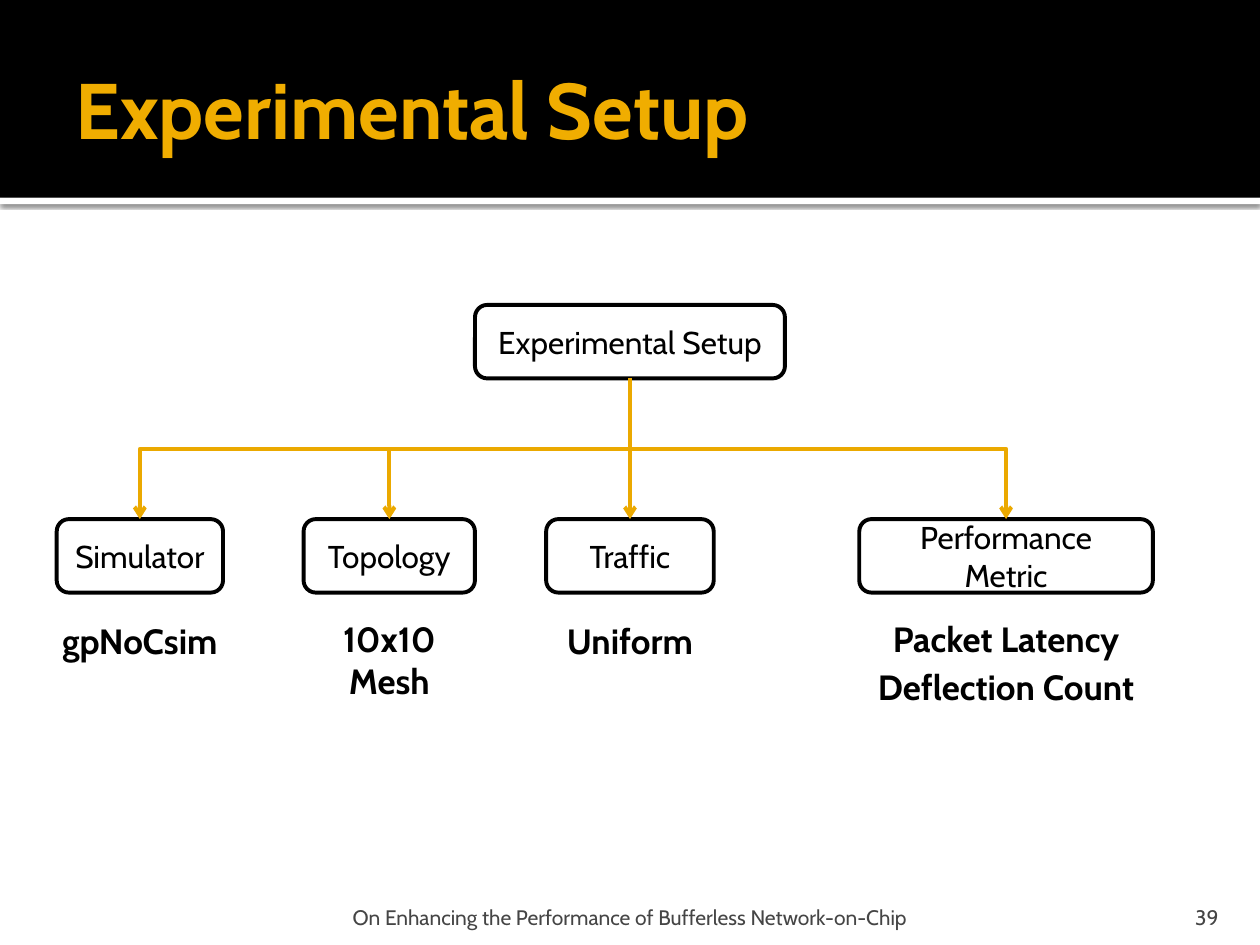
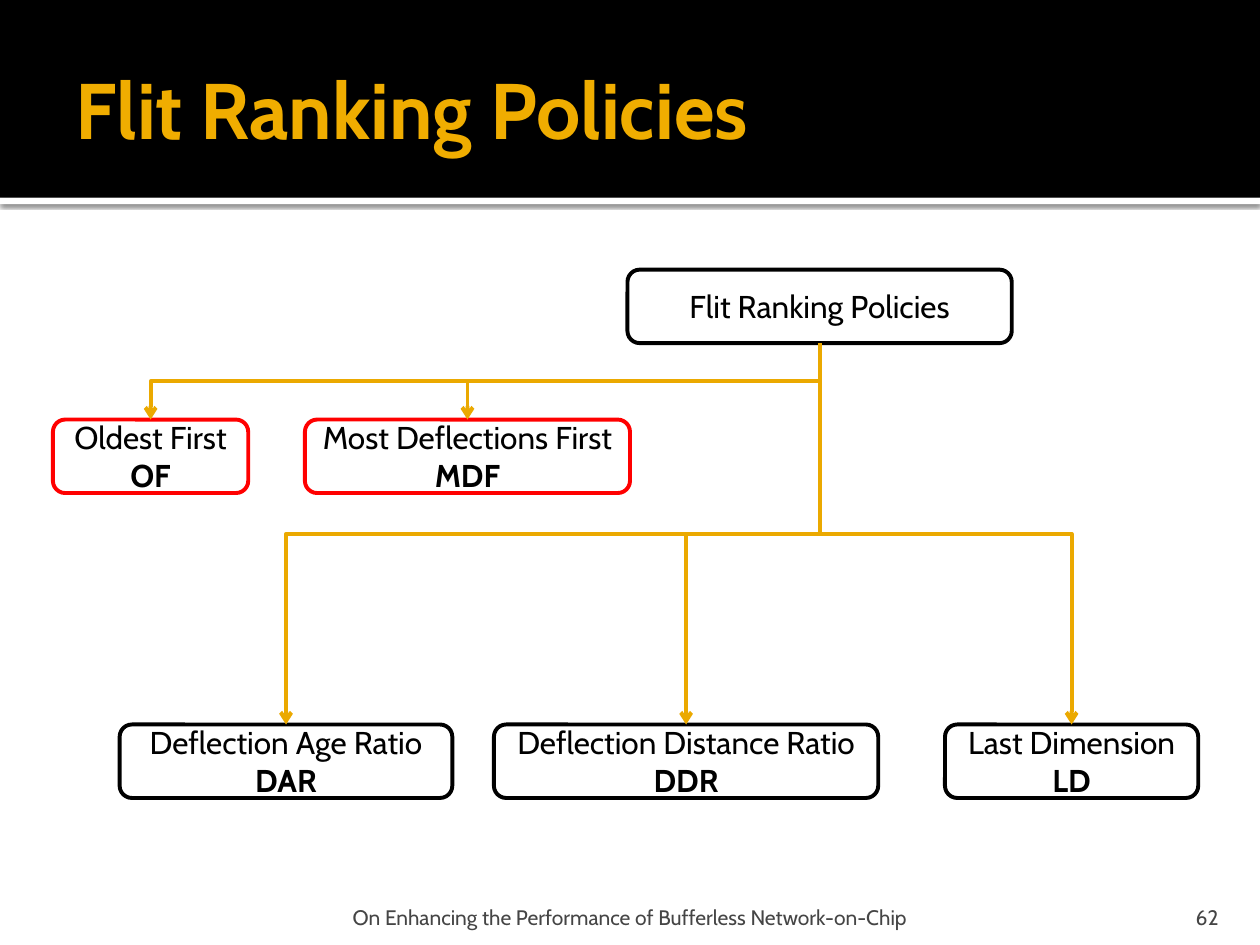
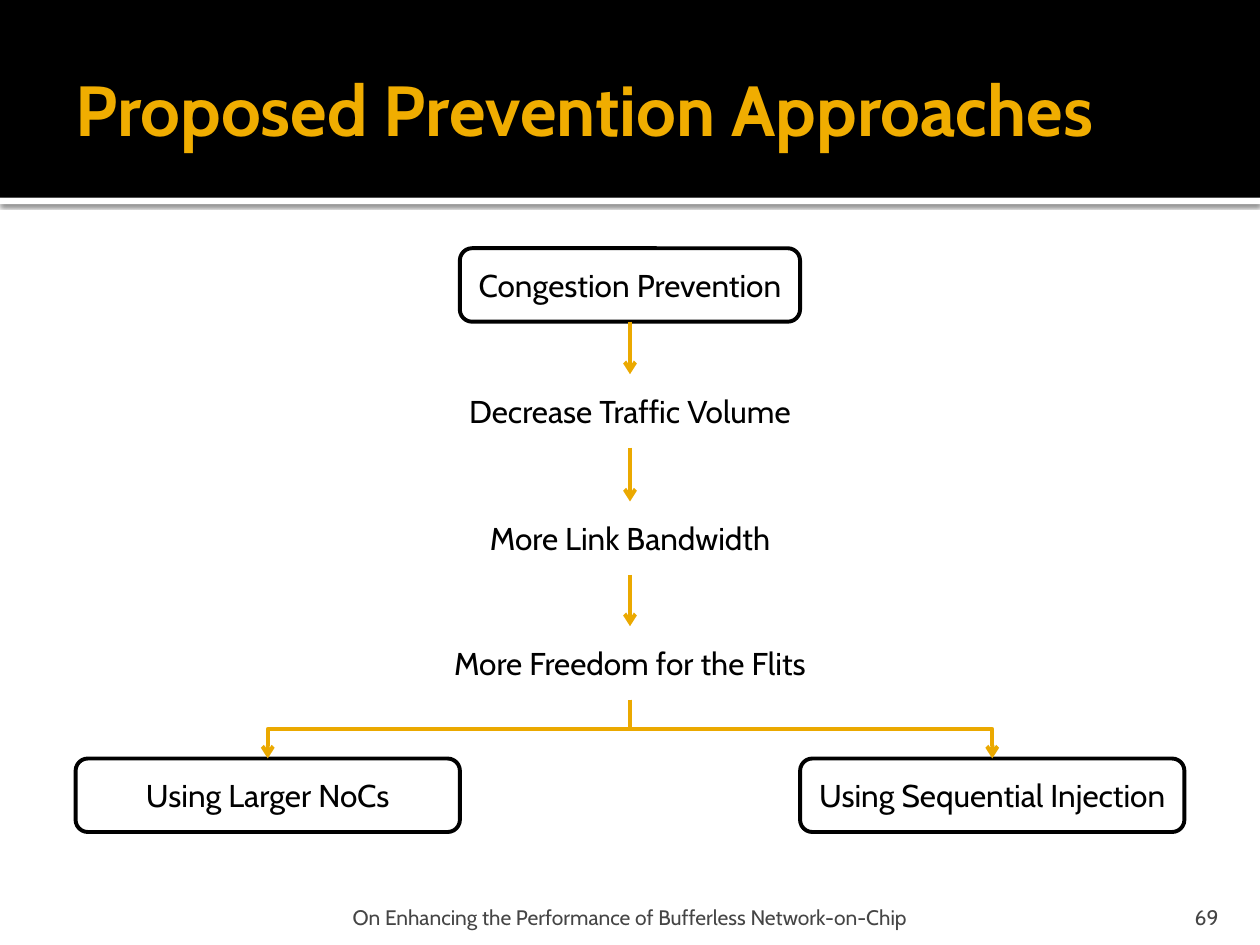
from dataclasses import dataclass

from lxml.etree import SubElement
from pptx import Presentation
from pptx.dml.color import RGBColor
from pptx.enum.shapes import MSO_CONNECTOR as Route, MSO_SHAPE as Preset
from pptx.enum.text import MSO_ANCHOR as Anchor, PP_ALIGN as Align
from pptx.oxml.ns import qn
from pptx.util import Inches, Pt

COLUMNS, ROWS = 100, 75
SLIDE_WIDTH, SLIDE_HEIGHT = Inches(10), Inches(7.5)
NODE_ROWS = 5.83
TOP_SITE, BOTTOM_SITE = 0, 2
FOOTER = "On Enhancing the Performance of Bufferless Network-on-Chip"


@dataclass(frozen=True)
class Theme:
    font: str = "Cabin"
    black: str = "000000"
    white: str = "FFFFFF"
    title: str = "F0AD00"
    link: str = "EBA900"
    footer: str = "454545"
    highlight: str = "FF0000"
    title_size: float = 45
    caption_size: float = 20
    node_size: float = 18
    footer_size: float = 12
    line_width: float = 2.25


THEME = Theme()


@dataclass(frozen=True)
class Area:
    """A rectangle in grid columns and rows."""
    left: float
    top: float
    width: float
    height: float

    def emu(self) -> tuple[int, int, int, int]:
        across, down = SLIDE_WIDTH / COLUMNS, SLIDE_HEIGHT / ROWS
        return (round(self.left * across), round(self.top * down),
                round(self.width * across), round(self.height * down))


@dataclass(frozen=True)
class TextStyle:
    size: float
    color: str = THEME.black
    bold: bool = False
    align: Align = Align.CENTER
    anchor: Anchor = Anchor.MIDDLE
    insets: tuple[float, float, float, float] = (0.1, 0.05, 0.1, 0.05)


@dataclass(frozen=True)
class Node:
    heading: str
    centre: float
    top: float
    width: float
    border: str | None = THEME.black
    abbreviation: str = ""


@dataclass(frozen=True)
class Caption:
    text: str
    centre: float
    top: float
    width: float = 15


@dataclass(frozen=True)
class Branch:
    parent: str
    children: tuple[str, ...]


@dataclass(frozen=True)
class Diagram:
    title: str
    number: str
    nodes: tuple[Node, ...]
    branches: tuple[Branch, ...]
    captions: tuple[Caption, ...] = ()
    title_size: float = THEME.title_size


TITLE_AREA = Area(5, 1.7, 90, 13.7)
FOOTER_AREA = Area(19.9, 70.8, 60.2, 3)
NUMBER_AREA = Area(89.7, 70.8, 8, 3)
BAND_AREA = Area(0, 0, 100, 15.7)
RULE_AREA = Area(0, 15.7, 100, 0.5)

NODE_STYLE = TextStyle(THEME.node_size)
CAPTION_STYLE = TextStyle(THEME.caption_size, bold=True, anchor=Anchor.TOP)
FOOTER_STYLE = TextStyle(THEME.footer_size, THEME.footer, anchor=Anchor.BOTTOM,
                         insets=(0.05, 0.05, 0.05, 0))
NUMBER_STYLE = TextStyle(THEME.footer_size, THEME.footer, align=Align.RIGHT,
                         anchor=Anchor.BOTTOM, insets=(0.1, 0.05, 0.1, 0))


def rgb(color: str) -> RGBColor:
    return RGBColor.from_string(color)


def write(shape, text: str, style: TextStyle) -> None:
    frame = shape.text_frame
    frame.text = text
    frame.word_wrap = True
    frame.vertical_anchor = style.anchor
    (frame.margin_left, frame.margin_top,
     frame.margin_right, frame.margin_bottom) = map(Inches, style.insets)
    for paragraph in frame.paragraphs:
        paragraph.alignment = style.align
        for run in paragraph.runs:
            run.font.name = THEME.font
            run.font.size = Pt(style.size)
            run.font.bold = style.bold
            run.font.color.rgb = rgb(style.color)


def add_text(slide, area: Area, text: str, style: TextStyle) -> None:
    write(slide.shapes.add_textbox(*area.emu()), text, style)


def add_filled(slide, preset: Preset, area: Area, fill: str, border: str | None = None):
    shape = slide.shapes.add_shape(preset, *area.emu())
    shape.shadow.inherit = False
    shape.fill.solid()
    shape.fill.fore_color.rgb = rgb(fill)
    if border:
        shape.line.color.rgb = rgb(border)
        shape.line.width = Pt(THEME.line_width)
    else:
        shape.line.fill.background()
    return shape


def cast_shadow(shape) -> None:
    effects = shape.element.spPr.find(qn("a:effectLst"))
    shadow = SubElement(effects, qn("a:outerShdw"), blurRad=str(Pt(2.5)),
                        dist=str(Pt(0.8)), dir="5400000", rotWithShape="0")
    color = SubElement(shadow, qn("a:srgbClr"), val=THEME.black)
    SubElement(color, qn("a:alpha"), val="60000")


def add_frame(slide, diagram: Diagram) -> None:
    """Draw the title band, title, footer and slide number."""
    cast_shadow(add_filled(slide, Preset.RECTANGLE, RULE_AREA, THEME.white))
    add_filled(slide, Preset.RECTANGLE, BAND_AREA, THEME.black)
    title_style = TextStyle(diagram.title_size, THEME.title, bold=True,
                            align=Align.LEFT, insets=(0.1, 0.05, 0.05, 0.05))
    add_text(slide, TITLE_AREA, diagram.title, title_style)
    add_text(slide, FOOTER_AREA, FOOTER, FOOTER_STYLE)
    add_text(slide, NUMBER_AREA, diagram.number, NUMBER_STYLE)


def add_node(slide, node: Node):
    area = Area(node.centre - node.width / 2, node.top, node.width, NODE_ROWS)
    box = add_filled(slide, Preset.ROUNDED_RECTANGLE, area, THEME.white, node.border)
    lines = [node.heading, node.abbreviation] if node.abbreviation else [node.heading]
    write(box, "\n".join(lines), NODE_STYLE)
    for paragraph in box.text_frame.paragraphs[1:]:
        paragraph.runs[0].font.bold = True
    return box


def turn_elbow(connector, start: tuple[int, int], end: tuple[int, int]) -> None:
    """Rotate an elbow so that it leaves downwards and arrives downwards."""
    across, down = abs(end[0] - start[0]), end[1] - start[1]
    connector.left = (start[0] + end[0] - down) // 2
    connector.top = (start[1] + end[1] - across) // 2
    connector.width, connector.height = down, across
    transform = connector.element.spPr.find(qn("a:xfrm"))
    for flip in ("flipH", "flipV"):
        transform.attrib.pop(flip, None)
    if end[0] < start[0]:
        transform.set("rot", "5400000")
    else:
        transform.set("rot", "16200000")
        transform.set("flipH", "1")


def add_link(slide, parent, child) -> None:
    start = (parent.left + parent.width // 2, parent.top + parent.height)
    end = (child.left + child.width // 2, child.top)
    aligned = abs(start[0] - end[0]) < Pt(1)
    route = Route.STRAIGHT if aligned else Route.ELBOW
    connector = slide.shapes.add_connector(route, *start, *end)
    connector.begin_connect(parent, BOTTOM_SITE)
    connector.end_connect(child, TOP_SITE)
    if not aligned:
        turn_elbow(connector, start, end)
    connector.line.color.rgb = rgb(THEME.link)
    connector.line.width = Pt(THEME.line_width)
    properties = connector.element.spPr
    SubElement(properties.find(qn("a:ln")), qn("a:tailEnd"), type="arrow")
    SubElement(properties, qn("a:effectLst"))


def add_diagram(deck, diagram: Diagram) -> None:
    slide = deck.slides.add_slide(deck.slide_layouts[6])
    add_frame(slide, diagram)
    boxes = {node.heading: add_node(slide, node) for node in diagram.nodes}
    for branch in diagram.branches:
        for child in branch.children:
            add_link(slide, boxes[branch.parent], boxes[child])
    for caption in diagram.captions:
        area = Area(caption.centre - caption.width / 2, caption.top, caption.width, 4.4)
        add_text(slide, area, caption.text, CAPTION_STYLE)


SETUP = Diagram(
    "Experimental Setup", "39",
    nodes=(
        Node("Experimental Setup", 50, 24.2, 24.6),
        Node("Simulator", 11.1, 41.2, 13.2),
        Node("Topology", 30.9, 41.2, 13.6),
        Node("Traffic", 50, 41.2, 13.3),
        Node("Performance Metric", 79.85, 41.2, 23.3),
    ),
    branches=(Branch("Experimental Setup",
                     ("Simulator", "Topology", "Traffic", "Performance Metric")),),
    captions=(
        Caption("gpNoCsim", 11.1, 48.7),
        Caption("10x10 Mesh", 30.9, 48.5),
        Caption("Uniform", 50, 48.7),
        Caption("Packet Latency", 79.85, 48.5, 23),
        Caption("Deflection Count", 79.85, 52.3, 23),
    ),
)

RANKING = Diagram(
    "Flit Ranking Policies", "62",
    nodes=(
        Node("Flit Ranking Policies", 65.05, 21.4, 30.5),
        Node("Oldest First", 11.95, 33.3, 15.5, THEME.highlight, "OF"),
        Node("Most Deflections First", 37.1, 33.3, 25.8, THEME.highlight, "MDF"),
        Node("Deflection Age Ratio", 22.7, 57.5, 26.4, abbreviation="DAR"),
        Node("Deflection Distance Ratio", 54.45, 57.5, 30.5, abbreviation="DDR"),
        Node("Last Dimension", 85.05, 57.5, 20.1, abbreviation="LD"),
    ),
    branches=(Branch("Flit Ranking Policies",
                     ("Oldest First", "Most Deflections First", "Deflection Age Ratio",
                      "Deflection Distance Ratio", "Last Dimension")),),
)

PREVENTION = Diagram(
    "Proposed Prevention Approaches", "69",
    nodes=(
        Node("Congestion Prevention", 50, 19.7, 27),
        Node("Decrease Traffic Volume", 50, 29.7, 60.8, None),
        Node("More Link Bandwidth", 50, 39.8, 32.9, None),
        Node("More Freedom for the Flits", 50, 49.7, 43.3, None),
        Node("Using Larger NoCs", 21.25, 60.2, 30.5),
        Node("Using Sequential Injection", 78.75, 60.2, 30.5),
    ),
    branches=(
        Branch("Congestion Prevention", ("Decrease Traffic Volume",)),
        Branch("Decrease Traffic Volume", ("More Link Bandwidth",)),
        Branch("More Link Bandwidth", ("More Freedom for the Flits",)),
        Branch("More Freedom for the Flits",
               ("Using Larger NoCs", "Using Sequential Injection")),
    ),
    title_size=40.5,
)


def main() -> None:
    deck = Presentation()
    deck.slide_width, deck.slide_height = SLIDE_WIDTH, SLIDE_HEIGHT
    for diagram in (SETUP, RANKING, PREVENTION):
        add_diagram(deck, diagram)
    deck.save("out.pptx")


if __name__ == "__main__":
    main()
